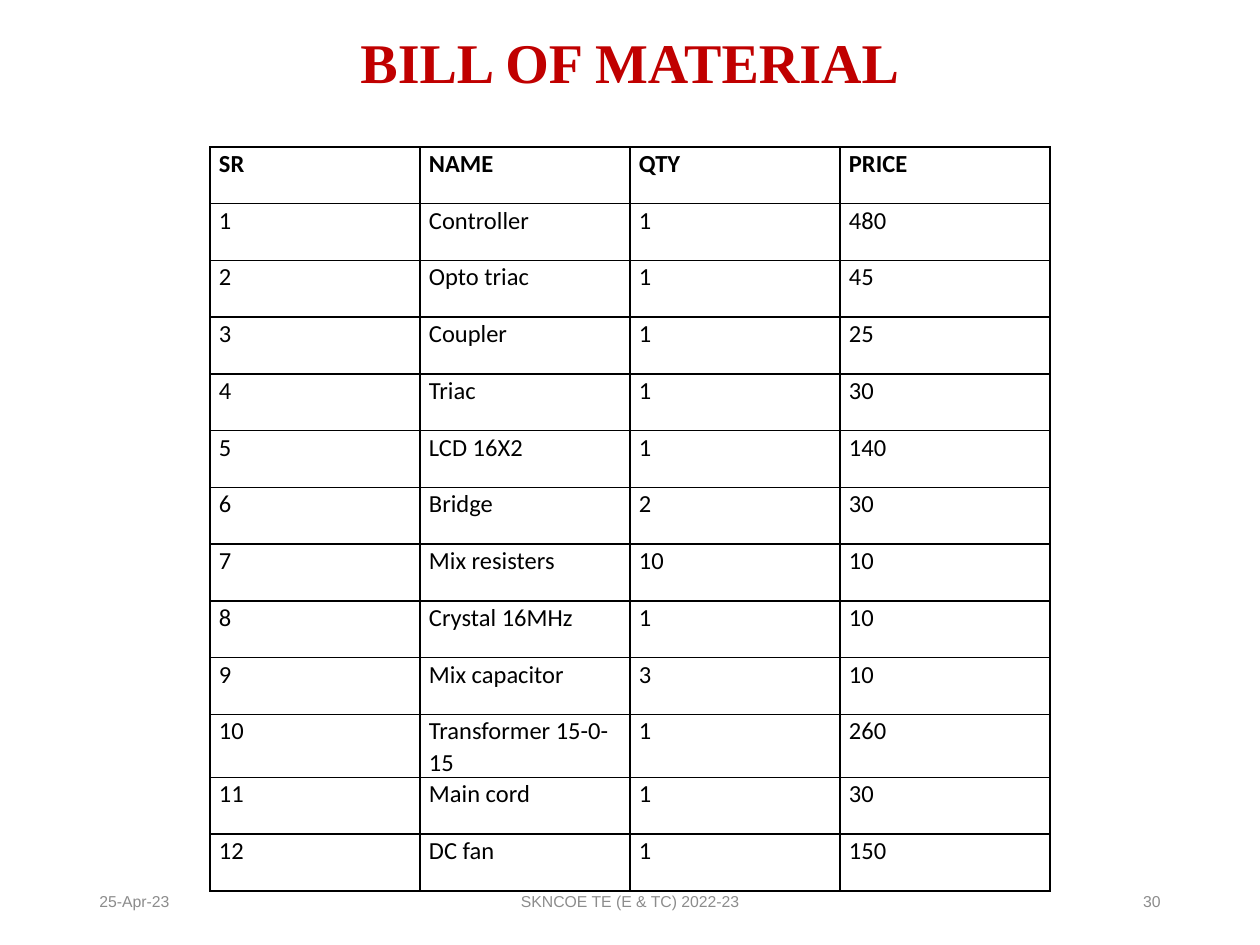
"""Build a bill of material slide with a bordered parts table and a footer."""
from lxml import etree
from pptx import Presentation
from pptx.dml.color import RGBColor
from pptx.enum.text import MSO_ANCHOR, PP_ALIGN
from pptx.oxml.ns import qn
from pptx.util import Pt

PX = 914400 // 126
LEFT, CENTER, RIGHT = PP_ALIGN.LEFT, PP_ALIGN.CENTER, PP_ALIGN.RIGHT
MIDDLE = MSO_ANCHOR.MIDDLE
RED = RGBColor(0xC0, 0x00, 0x00)
GRAY = RGBColor(0x8C, 0x8C, 0x8C)
BLACK = RGBColor(0x00, 0x00, 0x00)

LABELS = [
    ("BILL OF MATERIAL", 63, 21, 1134, 88, CENTER, "Times New Roman", 32, RED, True),
    ("25-Apr-23", 87, 876, 284, 50, LEFT, "Arial", 9, GRAY, False),
    ("SKNCOE TE (E & TC) 2022-23", 417, 876, 426, 50, CENTER, "Arial", 9, GRAY, False),
    ("30", 889, 876, 284, 50, RIGHT, "Arial", 9, GRAY, False),
]
PARTS = [
    ("SR", "NAME", "QTY", "PRICE"),
    ("1", "Controller", "1", "480"),
    ("2", "Opto triac", "1", "45"),
    ("3", "Coupler", "1", "25"),
    ("4", "Triac", "1", "30"),
    ("5", "LCD 16X2", "1", "140"),
    ("6", "Bridge", "2", "30"),
    ("7", "Mix resisters", "10", "10"),
    ("8", "Crystal 16MHz", "1", "10"),
    ("9", "Mix capacitor", "3", "10"),
    ("10", "Transformer 15-0-15", "1", "260"),
    ("11", "Main cord", "1", "30"),
    ("12", "DC fan", "1", "150"),
]


def style_run(run, font, size, color, bold):
    run.font.name = font
    run.font.size = Pt(size)
    run.font.color.rgb = color
    run.font.bold = bold


def add_borders(cell):
    properties = cell._tc.get_or_add_tcPr()
    for position, side in enumerate(("a:lnL", "a:lnR", "a:lnT", "a:lnB")):
        line = etree.Element(qn(side), w=str(Pt(1)))
        fill = etree.SubElement(line, qn("a:solidFill"))
        etree.SubElement(fill, qn("a:srgbClr"), val=str(BLACK))
        properties.insert(position, line)


prs = Presentation()
prs.slide_width, prs.slide_height = 1260 * PX, 945 * PX
slide = prs.slides.add_slide(prs.slide_layouts[6])

for text, left, top, width, height, align, font, size, color, bold in LABELS:
    label = slide.shapes.add_textbox(left * PX, top * PX, width * PX, height * PX)
    frame = label.text_frame
    frame.word_wrap = True
    frame.vertical_anchor = MIDDLE
    frame.text = text
    paragraph = frame.paragraphs[0]
    paragraph.alignment = align
    if bold:
        paragraph.line_spacing = 0.9
    style_run(paragraph.runs[0], font, size, color, bold)

parts_table = slide.shapes.add_table(
    len(PARTS), len(PARTS[0]), 210 * PX, 147 * PX, 840 * PX, 738 * PX).table
parts_table.first_row = False
parts_table.horz_banding = False

for row, part in enumerate(PARTS):
    for column, value in enumerate(part):
        cell = parts_table.cell(row, column)
        cell.margin_left = cell.margin_right = 9 * PX
        cell.margin_top = cell.margin_bottom = 0
        cell.fill.background()
        add_borders(cell)
        cell.text_frame.text = value
        paragraph = cell.text_frame.paragraphs[0]
        paragraph.line_spacing = 1.07
        paragraph.space_after = Pt(8)
        style_run(paragraph.runs[0], "Calibri", 14, BLACK, row == 0)

prs.save("out.pptx")
